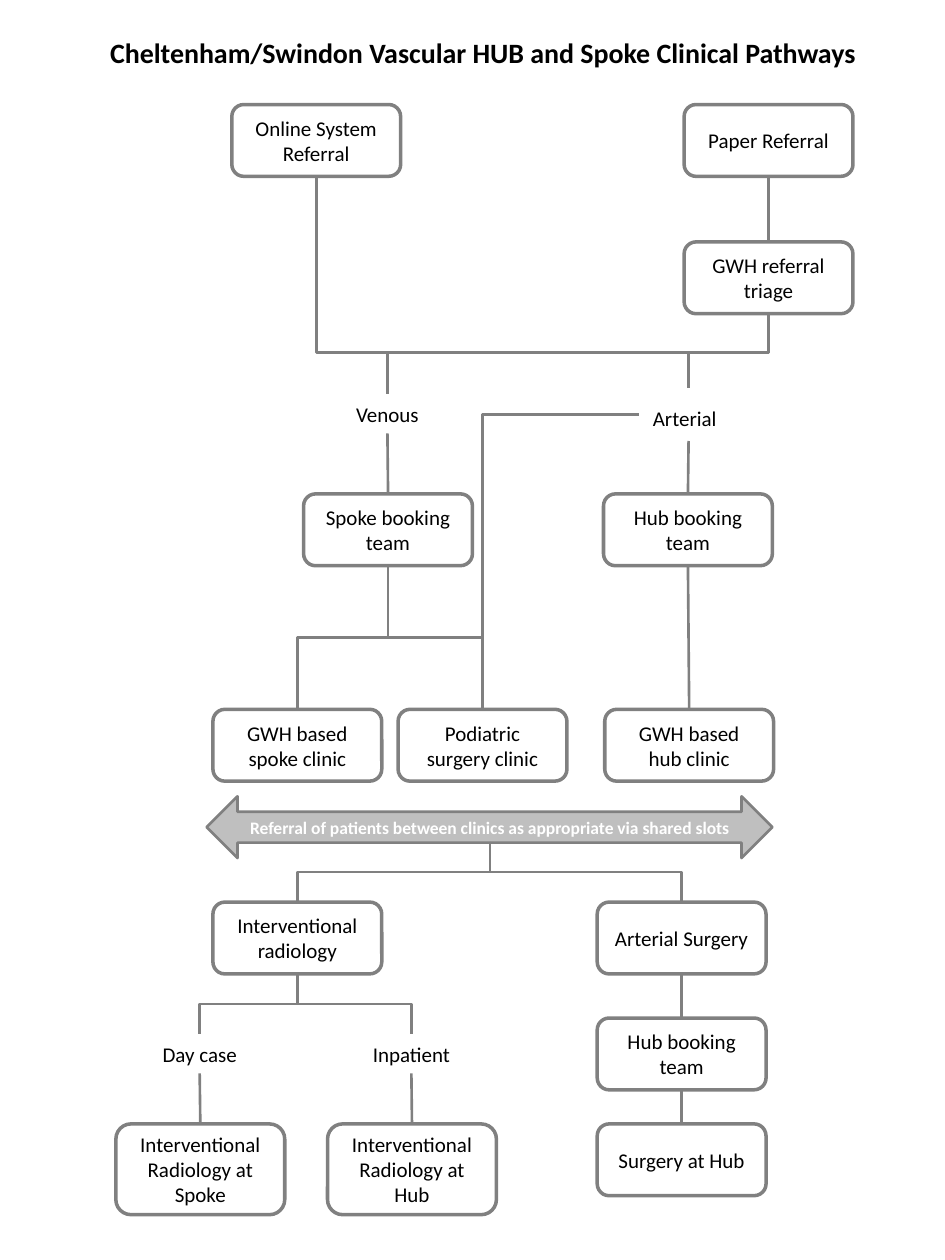
import pptx
import pptx.dml.color
import pptx.enum.shapes
import pptx.enum.text
import pptx.oxml.ns
import pptx.util
from lxml import etree

Inches = pptx.util.Inches
Kind = pptx.enum.shapes.MSO_SHAPE
Connector = pptx.enum.shapes.MSO_CONNECTOR
qn = pptx.oxml.ns.qn


def color(value):
    return pptx.dml.color.RGBColor.from_string(value)


def write_text(shape, text, size=12, ink="000000", bold=False):
    frame = shape.text_frame
    frame_format = {
        "word_wrap": True,
        "vertical_anchor": pptx.enum.text.MSO_ANCHOR.MIDDLE,
    }
    for name, value in frame_format.items():
        setattr(frame, name, value)
    paragraph = frame.paragraphs[0]
    paragraph.alignment = pptx.enum.text.PP_ALIGN.CENTER
    run = paragraph.add_run()
    run.text = text
    font_format = {"name": "Calibri", "size": pptx.util.Pt(size), "bold": bold}
    for name, value in font_format.items():
        setattr(run.font, name, value)
    run.font.color.rgb = color(ink)


presentation = pptx.Presentation()
presentation.slide_width = Inches(7.5)
presentation.slide_height = Inches(10)
slide = presentation.slides.add_slide(presentation.slide_layouts[6])
shapes = slide.shapes
steps = {}

box_width, box_height, tall_height = 1.34, 0.57, 0.72
boxes = [
    ("online", "Online System Referral", 1.84, 0.83, box_height),
    ("paper", "Paper Referral", 5.43, 0.83, box_height),
    ("triage", "GWH referral triage", 5.43, 1.92, box_height),
    ("spoke team", "Spoke booking team", 2.41, 3.92, box_height),
    ("hub team", "Hub booking team", 4.79, 3.92, box_height),
    ("spoke clinic", "GWH based spoke clinic", 1.69, 5.63, box_height),
    ("podiatric", "Podiatric surgery clinic", 3.16, 5.63, box_height),
    ("hub clinic", "GWH based hub clinic", 4.8, 5.63, box_height),
    ("radiology", "Interventional radiology", 1.69, 7.16, box_height),
    ("surgery", "Arterial Surgery", 4.74, 7.16, box_height),
    ("surgery team", "Hub booking team", 4.74, 8.08, box_height),
    ("surgery hub", "Surgery at Hub", 4.74, 8.92, box_height),
    ("radiology spoke", "Interventional Radiology at Spoke", 0.92, 8.92, tall_height),
    ("radiology hub", "Interventional Radiology at Hub", 2.6, 8.92, tall_height),
]
for key, text, left, top, height in boxes:
    shape = shapes.add_shape(
        Kind.ROUNDED_RECTANGLE, Inches(left), Inches(top), Inches(box_width), Inches(height)
    )
    shape.shadow.inherit = False
    shape.fill.background()
    shape.line.color.rgb = color("808080")
    shape.line.width = pptx.util.Pt(2)
    write_text(shape, text)
    steps[key] = shape

labels = [
    ("Venous", 2.68, 3.13, 0.79, 0.31),
    ("Arterial", 5.07, 3.08, 0.79, 0.42),
    ("Day case", 1.06, 8.21, 1.05, 0.31),
    ("Inpatient", 2.79, 8.21, 0.95, 0.31),
]
for text, *place in labels:
    label = shapes.add_textbox(*map(Inches, place))
    write_text(label, text)
    steps[text] = label
steps["Arterial"].text_frame.margin_top = Inches(0.1)
steps["Arterial"].text_frame.margin_right = Inches(0.16)

arrow = shapes.add_shape(
    Kind.LEFT_RIGHT_ARROW, Inches(1.64), Inches(6.32), Inches(4.49), Inches(0.49)
)
arrow.shadow.inherit = False
arrow.fill.solid()
arrow.fill.fore_color.rgb = color("BFBFBF")
arrow.line.color.rgb = color("808080")
arrow.line.width = pptx.util.Pt(1.5)
write_text(
    arrow,
    "Referral of patients between clinics as appropriate via shared slots",
    size=10,
    ink="FFFFFF",
    bold=True,
)

links = [
    ("online", "Venous", 2.8),
    ("triage", "Arterial", 2.8),
    ("triage", "Venous", 2.8),
    ("paper", "triage", None),
    ("Arterial", "hub team", None),
    ("Venous", "spoke team", None),
    ("spoke team", "spoke clinic", 5.06),
    ("spoke team", "podiatric", 5.06),
    ("hub team", "hub clinic", None),
    ("arrow", "radiology", 6.92),
    ("arrow", "surgery", 6.92),
    ("surgery", "surgery team", None),
    ("surgery team", "surgery hub", None),
    ("radiology", "Day case", 7.97),
    ("radiology", "Inpatient", 7.97),
    ("Day case", "radiology spoke", None),
    ("Inpatient", "radiology hub", None),
    ("Arterial", "podiatric", "corner"),
]
for start, end, bend in links:
    connector = shapes.add_connector(
        Connector.ELBOW if bend else Connector.STRAIGHT,
        Inches(3.89), Inches(6.68), Inches(3.89), Inches(7.16),
    )
    if start in steps:
        connector.begin_connect(steps[start], 1 if bend == "corner" else 2)
    connector.end_connect(steps[end], 0)
    connector.line.color.rgb = color("808080")
    connector.line.width = pptx.util.Pt(1.5)
    properties = connector._element.spPr
    etree.SubElement(properties, qn("a:effectLst"))
    geometry = properties.find(qn("a:prstGeom"))
    if bend == "corner":
        geometry.set("prst", "bentConnector2")
    elif bend:
        x1, y1 = connector.begin_x, connector.begin_y
        x2, y2 = connector.end_x, connector.end_y
        width, height = abs(x2 - x1), y2 - y1
        placement = {
            "left": (x1 + x2 - height) // 2,
            "top": (y1 + y2 - width) // 2,
            "width": height,
            "height": width,
        }
        for name, value in placement.items():
            setattr(connector, name, value)
        rightward = x2 > x1
        transform = properties.find(qn("a:xfrm"))
        transform.set("rot", "16200000" if rightward else "5400000")
        transform.set("flipH", "1" if rightward else "0")
        ratio = round((Inches(bend) - y1) / height * 100000)
        guide = etree.SubElement(geometry.find(qn("a:avLst")), qn("a:gd"))
        guide.set("name", "adj1")
        guide.set("fmla", f"val {ratio}")

title = shapes.add_textbox(Inches(0.37), Inches(0.23), Inches(6.93), Inches(0.37))
write_text(
    title, "Cheltenham/Swindon Vascular HUB and Spoke Clinical Pathways", size=16, bold=True
)

presentation.save("out.pptx")
